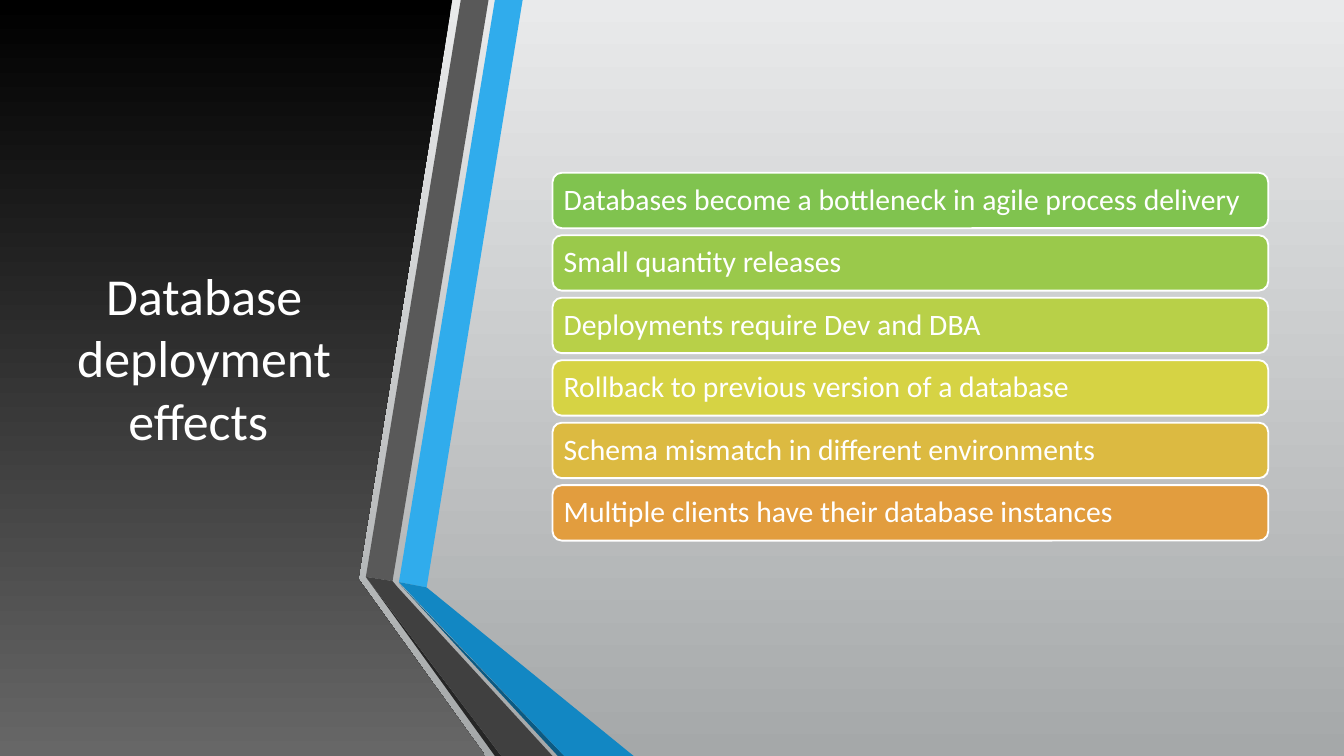
from typing import NamedTuple

from pptx import Presentation
from pptx.dml.color import RGBColor
from pptx.dml.fill import FillFormat
from pptx.enum.shapes import MSO_SHAPE as Preset
from pptx.enum.text import MSO_ANCHOR as Anchor, PP_ALIGN as Align
from pptx.shapes.autoshape import Shape
from pptx.slide import Slide
from pptx.text.text import TextFrame
from pptx.util import Inches, Pt

WIDTH, HEIGHT = 12.6, 7.09
FONT = "Calibri"
WHITE = RGBColor(0xFF, 0xFF, 0xFF)
BLACK = RGBColor(0x00, 0x00, 0x00)
PANEL_GRAY = RGBColor(0x67, 0x67, 0x67)
PALE_GRAY = RGBColor(0xE9, 0xEA, 0xEB)
MID_GRAY = RGBColor(0xA5, 0xA8, 0xA9)
BLUE = RGBColor(0x30, 0xAC, 0xEC)
DEEP_BLUE = RGBColor(0x12, 0x87, 0xC3)
BLUE_SHADE = RGBColor(0x0C, 0x5A, 0x82)
GRAY = RGBColor(0x59, 0x59, 0x59)
DEEP_GRAY = RGBColor(0x40, 0x40, 0x40)
GRAY_SHADE = RGBColor(0x26, 0x26, 0x26)
GREEN = RGBColor(0x80, 0xC3, 0x4F)
LIGHT_GREEN = RGBColor(0x9A, 0xC9, 0x4B)
LIME = RGBColor(0xB8, 0xD0, 0x48)
YELLOW = RGBColor(0xD6, 0xD3, 0x44)
GOLD = RGBColor(0xDC, 0xBA, 0x41)
ORANGE = RGBColor(0xE2, 0x9D, 0x3E)

Points = list[tuple[float, float]]


class Ribbon(NamedTuple):
    color: RGBColor
    points: Points


class Effect(NamedTuple):
    text: str
    color: RGBColor


PANEL: Points = [(0, 0), (4.24, 0), (3.36, 5.43), (4.55, HEIGHT), (0, HEIGHT)]
RIBBONS = [
    Ribbon(BLUE, [(3.74, 5.46), (4, 5.51), (4.9, 0), (4.64, 0)]),
    Ribbon(GRAY, [(4.58, 0), (4.32, 0), (3.43, 5.41), (3.68, 5.45)]),
    Ribbon(GRAY_SHADE, [(3.43, 5.41), (4.64, HEIGHT), (4.7, HEIGHT)]),
    Ribbon(BLUE_SHADE, [(3.74, 5.47), (5.23, HEIGHT), (5.29, HEIGHT)]),
    Ribbon(DEEP_BLUE, [(3.74, 5.46), (5.29, HEIGHT), (5.94, HEIGHT), (4, 5.51)]),
    Ribbon(DEEP_GRAY, [(5.18, HEIGHT), (3.73, 5.51), (3.68, 5.45), (3.43, 5.41), (4.7, HEIGHT)]),
]
EFFECTS = [
    Effect("Databases become a bottleneck in agile process delivery", GREEN),
    Effect("Small quantity releases", LIGHT_GREEN),
    Effect("Deployments require Dev and DBA", LIME),
    Effect("Rollback to previous version of a database", YELLOW),
    Effect("Schema mismatch in different environments", GOLD),
    Effect("Multiple clients have their database instances", ORANGE),
]
FIRST_TOP, LAST_TOP = 1.62, 4.55
PITCH = (LAST_TOP - FIRST_TOP) / (len(EFFECTS) - 1)


def fill_gradient(fill: FillFormat, top: RGBColor, bottom: RGBColor) -> None:
    """Fill with a gradient that runs from top to bottom."""
    fill.gradient()
    fill.gradient_angle = 270
    for stop, position, color in zip(fill.gradient_stops, (0, 1), (top, bottom)):
        stop.position = position
        stop.color.rgb = color


def write_text(frame: TextFrame, text: str, size: float, align: Align) -> None:
    """Write one white paragraph, centred vertically."""
    frame.text = text
    frame.word_wrap = True
    frame.vertical_anchor = Anchor.MIDDLE
    paragraph = frame.paragraphs[0]
    paragraph.alignment = align
    paragraph.font.name = FONT
    paragraph.font.size = Pt(size)
    paragraph.font.color.rgb = WHITE


def add_polygon(slide: Slide, points: Points) -> Shape:
    """Add a closed outline without line or shadow."""
    corners = [(Inches(x), Inches(y)) for x, y in points]
    builder = slide.shapes.build_freeform(*corners[0])
    builder.add_line_segments(corners[1:], close=True)
    shape = builder.convert_to_shape()
    shape.shadow.inherit = False
    shape.line.fill.background()
    return shape


def add_backdrop(slide: Slide) -> None:
    """Draw the gray backdrop and the dark title panel."""
    fill_gradient(slide.background.fill, PALE_GRAY, MID_GRAY)
    backdrop = slide.shapes.add_shape(Preset.RECTANGLE, 0, 0, Inches(WIDTH), Inches(HEIGHT))
    backdrop.shadow.inherit = False
    backdrop.line.fill.background()
    fill_gradient(backdrop.fill, PALE_GRAY, MID_GRAY)
    fill_gradient(add_polygon(slide, PANEL).fill, BLACK, PANEL_GRAY)


def add_title(slide: Slide) -> None:
    """Write the title on the dark panel."""
    title = slide.shapes.add_textbox(Inches(0.55), Inches(0.71), Inches(2.73), Inches(5.28))
    write_text(title.text_frame, "Database deployment effects ", 35, Align.CENTER)


def add_ribbon(slide: Slide, ribbon: Ribbon) -> None:
    """Draw one facet of the folded ribbons."""
    shape = add_polygon(slide, ribbon.points)
    shape.fill.solid()
    shape.fill.fore_color.rgb = ribbon.color


def add_effect(slide: Slide, effect: Effect, top: float) -> None:
    """Draw one rounded bar with its text."""
    bar = slide.shapes.add_shape(
        Preset.ROUNDED_RECTANGLE, Inches(5.18), Inches(top), Inches(6.71), Inches(0.52)
    )
    bar.shadow.inherit = False
    bar.fill.solid()
    bar.fill.fore_color.rgb = effect.color
    bar.line.color.rgb = WHITE
    bar.line.width = Pt(1.25)
    frame = bar.text_frame
    frame.margin_left = frame.margin_right = Inches(0.08)
    frame.margin_top = frame.margin_bottom = Inches(0.08)
    write_text(frame, effect.text, 20, Align.LEFT)
    frame.paragraphs[0].line_spacing = 0.9


def main() -> None:
    """Build the slide and save it."""
    presentation = Presentation()
    presentation.slide_width = Inches(WIDTH)
    presentation.slide_height = Inches(HEIGHT)
    slide = presentation.slides.add_slide(presentation.slide_layouts[6])
    add_backdrop(slide)
    add_title(slide)
    for ribbon in RIBBONS:
        add_ribbon(slide, ribbon)
    for index, effect in enumerate(EFFECTS):
        add_effect(slide, effect, FIRST_TOP + index * PITCH)
    presentation.save("out.pptx")


if __name__ == "__main__":
    main()
